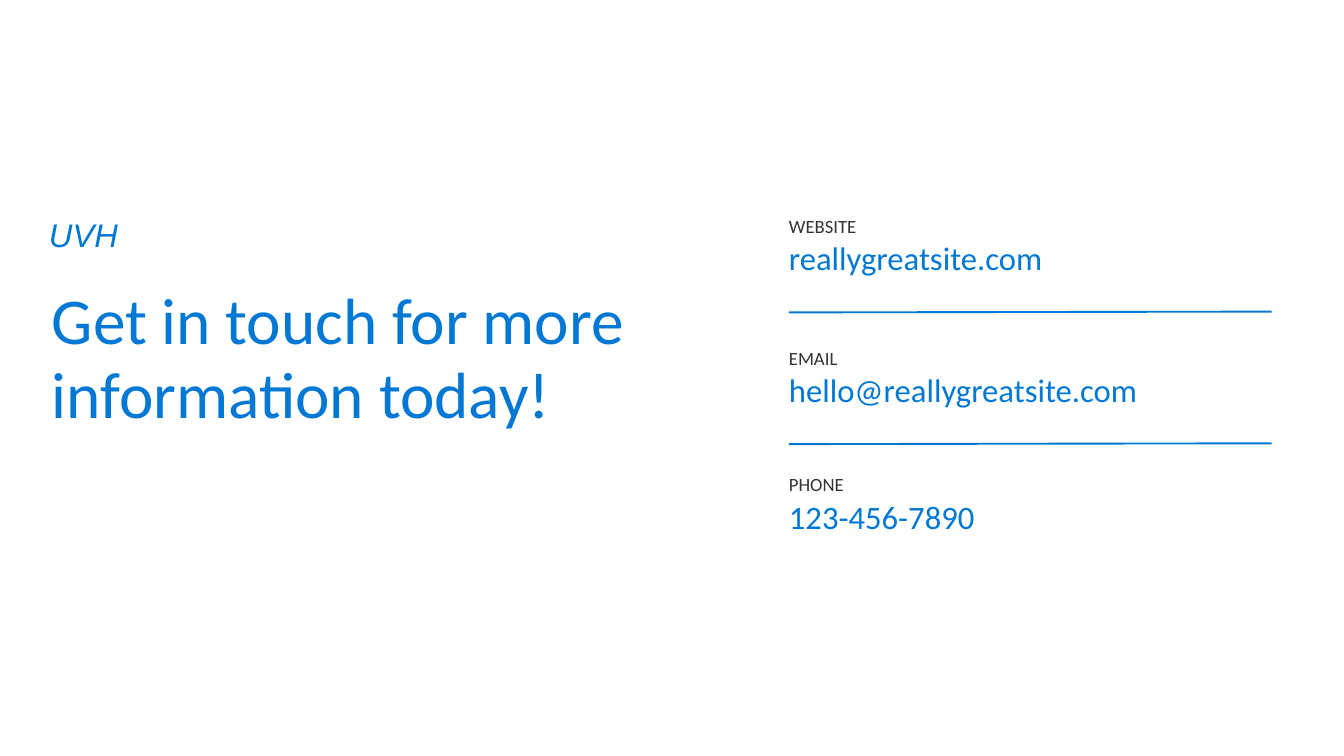
import pptx
import pptx.dml.color
import pptx.enum.shapes
import pptx.enum.text
import pptx.util
from pptx.util import Cm
import lxml.etree


def color(value):
    return pptx.dml.color.RGBColor.from_string(value)


def write(box, text, size, fill, spacing, font="Calibri", italic=False):
    frame = box.text_frame
    frame.word_wrap = True
    frame.auto_size = pptx.enum.text.MSO_AUTO_SIZE.NONE
    frame.vertical_anchor = pptx.enum.text.MSO_ANCHOR.TOP
    frame.margin_left = frame.margin_right = 0
    frame.margin_top = frame.margin_bottom = 0
    para = frame.paragraphs[0]
    para.alignment = pptx.enum.text.PP_ALIGN.LEFT
    para.line_spacing = pptx.util.Pt(spacing)
    para.space_before = pptx.util.Pt(0)
    span = para.add_run()
    span.text = text
    span.font.name = font
    span.font.size = pptx.util.Pt(size)
    span.font.italic = italic
    span.font.color.rgb = color(fill)


class ContactPage:
    blue = "0078D4"
    gray = "333333"

    def __init__(self, deck):
        self.page = deck.slides.add_slide(deck.slide_layouts[5])

    def title(self, text, left, top, width, height):
        box = self.page.shapes.title
        box.left, box.top = Cm(left), Cm(top)
        box.width, box.height = Cm(width), Cm(height)
        write(box, text, size=70, fill=self.blue, spacing=78.4)

    def text(self, text, left, top, width, height, **style):
        box = self.page.shapes.add_textbox(Cm(left), Cm(top), Cm(width), Cm(height))
        write(box, text, **style)

    def divider(self, left, top, width):
        line = self.page.shapes.add_connector(
            pptx.enum.shapes.MSO_CONNECTOR.STRAIGHT,
            Cm(left), Cm(top), Cm(left + width), Cm(top - 0.03),
        )
        line.line.color.rgb = color(self.blue)
        line.line.width = pptx.util.Pt(2)
        properties = line._element.spPr
        lxml.etree.SubElement(properties, pptx.oxml.ns.qn("a:effectLst"))

    def contact(self, label, value, left, top, width):
        self.text(label, left, top, width, 1, size=20, fill=self.gray, spacing=28)
        self.text(value, left, top + 1.02, width, 1.45,
                  size=35, fill=self.blue, spacing=42)


def main():
    deck = pptx.Presentation()
    deck.slide_width, deck.slide_height = Cm(50.8), Cm(28.58)
    page = ContactPage(deck)

    left, width = 29.82, 18.24
    for top in (11.81, 16.79):
        page.divider(left, top, width)
    contacts = [
        ("WEBSITE", "reallygreatsite.com", 7.98),
        ("EMAIL", "hello@reallygreatsite.com", 12.98),
        ("PHONE", "123-456-7890", 17.75),
    ]
    for label, value, top in contacts:
        page.contact(label, value, left, top, width)

    page.title("Get in touch for more information today!", 1.96, 10.77, 23, 8.33)
    page.text("UVH", 1.85, 8.36, 23, 1.35, size=35, fill=page.blue,
              spacing=35, font="Arial", italic=True)
    deck.save("out.pptx")


if __name__ == "__main__":
    main()
